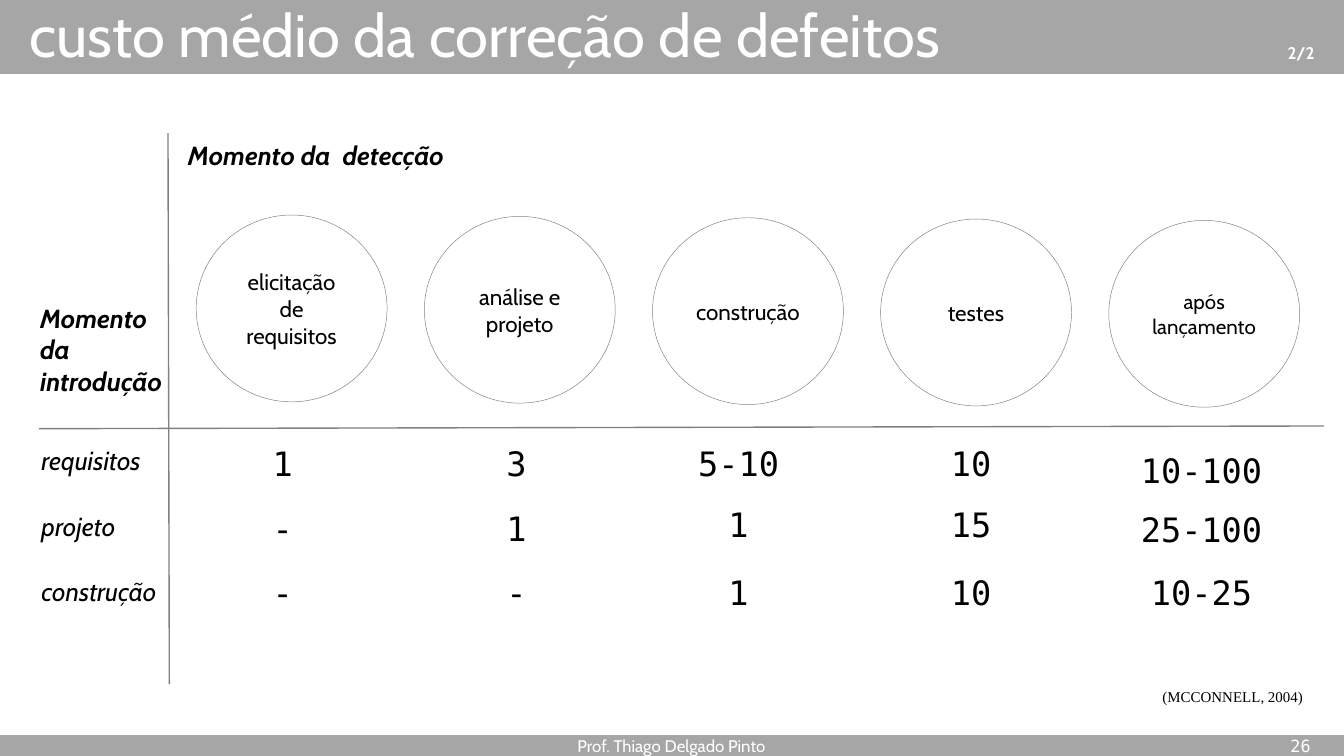
"""Build a slide on the average cost of fixing defects by phase."""
from dataclasses import dataclass

from lxml import etree
from pptx import Presentation
from pptx.dml.color import RGBColor
from pptx.enum import shapes, text
from pptx.oxml.ns import qn
from pptx.util import Inches, Pt


@dataclass(frozen=True)
class Theme:
    bar: RGBColor = RGBColor(0xA6, 0xA6, 0xA6)
    rule: RGBColor = RGBColor(0x80, 0x80, 0x80)
    ink: RGBColor = RGBColor(0, 0, 0)
    paper: RGBColor = RGBColor(0xFF, 0xFF, 0xFF)
    sans: str = "Cabin"
    mono: str = "DejaVu Sans Mono"
    serif: str = "Times New Roman"
    title: int = 32
    value: int = 18
    label: int = 14
    phase: int = 12
    phase_small: int = 11
    footer: int = 9
    source: int = 8


THEME = Theme()
LEFT, CENTER, RIGHT = text.PP_ALIGN.LEFT, text.PP_ALIGN.CENTER, text.PP_ALIGN.RIGHT

TITLE = "custo médio da correção de defeitos"
PART, NUMBER = "2/2", "26"
AUTHOR = "Prof. Thiago Delgado Pinto"
SOURCE = "(MCCONNELL, 2004)"
DETECTION = "Momento da  detecção"
INTRODUCTION = ["Momento", "da introdução"]
ORIGINS = [("requisitos", 3.26), ("projeto", 3.75), ("construção", 4.23)]
PHASES = [
    ("elicitação de requisitos", THEME.phase),
    ("análise e projeto", THEME.phase),
    ("construção", THEME.phase),
    ("testes", THEME.phase),
    ("após lançamento", THEME.phase_small),
]
FIRST_PHASE, LAST_PHASE = (1.46, 1.6), (8.25, 1.64)
COSTS = [
    {"left": 1.93, "width": 0.31, "tops": (3.25, 3.73, 4.21), "values": ("1", "-", "-")},
    {"left": 3.67, "width": 0.31, "tops": (3.25, 3.73, 4.21), "values": ("3", "1", "-")},
    {"left": 5.05, "width": 0.89, "tops": (3.25, 3.7, 4.21), "values": ("5-10", "1", "1")},
    {"left": 6.78, "width": 0.89, "tops": (3.25, 3.7, 4.21), "values": ("10", "15", "10")},
    {"left": 8.39, "width": 1.1, "tops": (3.3, 3.74, 4.21), "values": ("10-100", "25-100", "10-25")},
]
BARS = [(0, 0, 10, 0.55), (0, 5.47, 10, 0.16)]
AXES = [(1.25, 0.99, 1.26, 5.09), (0.29, 3.19, 9.85, 3.17)]


def write(shape, lines, size, font=THEME.sans, color=THEME.ink, align=LEFT,
          middle=False, wrap=True, bold=False, italic=False):
    frame = shape.text_frame
    frame.word_wrap = wrap
    frame.vertical_anchor = text.MSO_ANCHOR.MIDDLE if middle else text.MSO_ANCHOR.TOP
    frame.text = "\n".join(lines)
    for para in frame.paragraphs:
        para.alignment = align
        para.font.name = font
        para.font.size = Pt(size)
        para.font.color.rgb = color
        para.font.bold = bold
        para.font.italic = italic


def add_text(page, place, lines, size, **style):
    box = page.shapes.add_textbox(*map(Inches, place))
    if style.get("middle"):
        box.text_frame.margin_top = box.text_frame.margin_bottom = 0
    write(box, lines, size, **style)


def add_shape(page, kind, place, fill):
    shape = page.shapes.add_shape(kind, *map(Inches, place))
    shape.shadow.inherit = False
    shape.fill.solid()
    shape.fill.fore_color.rgb = fill
    shape.line.fill.background()
    return shape


def add_bars(page):
    for place in BARS:
        add_shape(page, shapes.MSO_SHAPE.RECTANGLE, place, THEME.bar)
    white = {"color": THEME.paper, "middle": True}
    add_text(page, (0.12, 0.03, 9.06, 0.44), [TITLE], THEME.title, **white)
    add_text(page, (9.25, 0.27, 0.63, 0.24), [PART], THEME.footer,
             align=RIGHT, bold=True, **white)
    add_text(page, (9.17, 5.47, 0.68, 0.16), [NUMBER], THEME.footer,
             font=THEME.mono, align=RIGHT, **white)
    add_text(page, (1.06, 5.47, 7.87, 0.16), [AUTHOR], THEME.footer,
             align=CENTER, **white)


def add_phases(page):
    for index, (phase, size) in enumerate(PHASES):
        share = index / (len(PHASES) - 1)
        left, top = (first + (last - first) * share
                     for first, last in zip(FIRST_PHASE, LAST_PHASE))
        circle = add_shape(page, shapes.MSO_SHAPE.FLOWCHART_CONNECTOR,
                           (left, top, 1.42, 1.39), THEME.paper)
        circle.line.color.rgb = THEME.rule
        circle.line.width = Pt(0.25)
        write(circle, [phase], size, align=CENTER, middle=True)


def add_costs(page):
    for origin, top in ORIGINS:
        add_text(page, (0.21, top, 1.26, 0.34), [origin], THEME.label, italic=True)
    for column in COSTS:
        for top, value in zip(column["tops"], column["values"]):
            add_text(page, (column["left"], top, column["width"], 0.4), [value],
                     THEME.value, font=THEME.mono, align=CENTER)


def add_axes(page):
    heading = {"bold": True, "italic": True}
    add_text(page, (1.3, 0.99, 2.62, 0.34), [DETECTION], THEME.label, **heading)
    add_text(page, (0.2, 2.2, 1.26, 0.81), INTRODUCTION, THEME.label, **heading)
    for ends in AXES:
        axis = page.shapes.add_connector(shapes.MSO_CONNECTOR.STRAIGHT, *map(Inches, ends))
        axis.line.color.rgb = THEME.rule
        axis.line.width = Pt(0.75)
        etree.SubElement(axis._element.spPr, qn("a:effectLst"))
    add_text(page, (8.55, 5.07, 1.25, 0.24), [SOURCE], THEME.source,
             font=THEME.serif, wrap=False)


def main():
    deck = Presentation()
    deck.slide_width, deck.slide_height = Inches(10), Inches(10 * 9 / 16)
    page = deck.slides.add_slide(deck.slide_layouts[6])
    add_bars(page)
    add_phases(page)
    add_costs(page)
    add_axes(page)
    deck.save("out.pptx")


if __name__ == "__main__":
    main()
